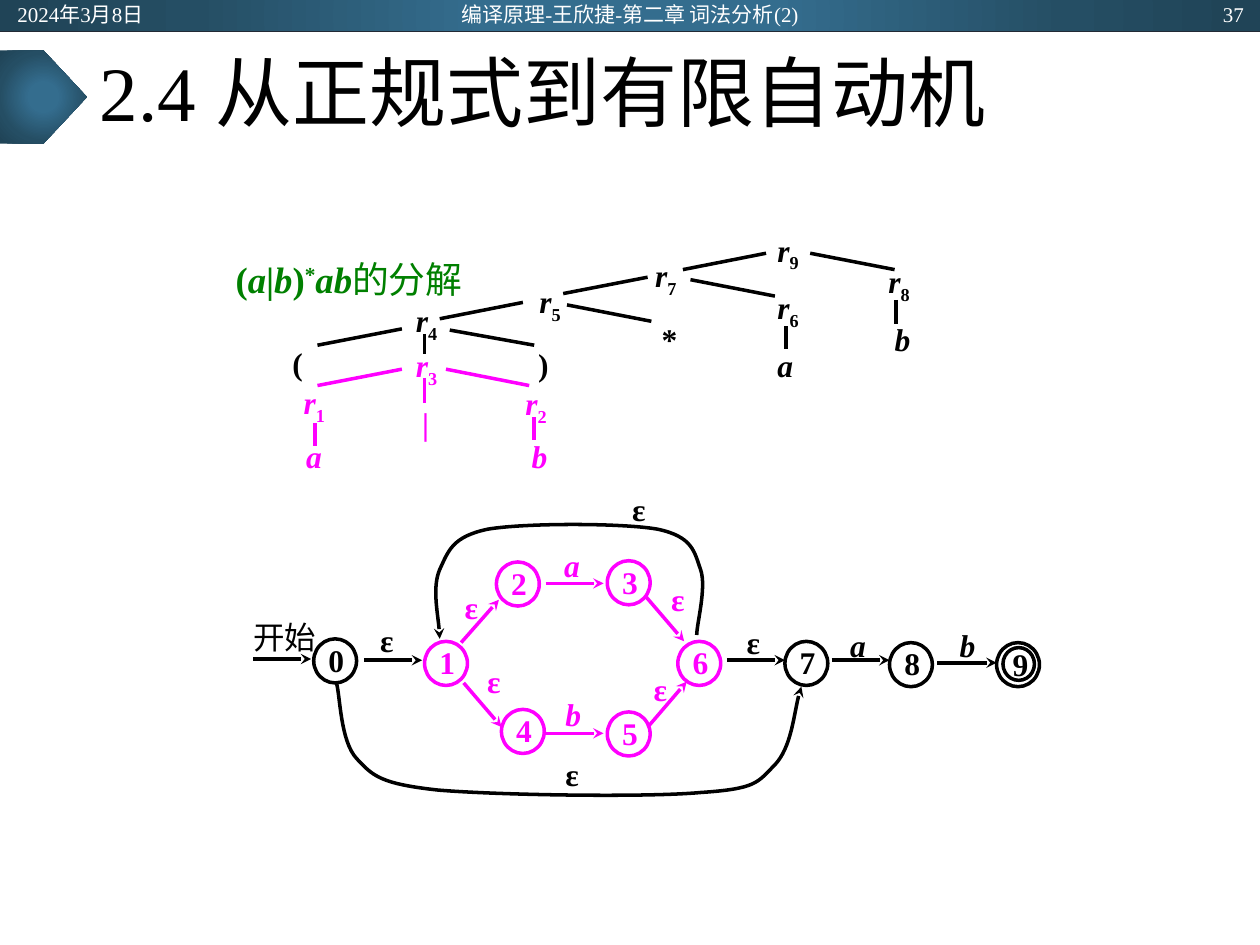
"""Build the slide on turning a regular expression into a finite automaton."""
from dataclasses import dataclass
from typing import NamedTuple

from lxml.etree import SubElement
from pptx import Presentation
from pptx.dml.color import RGBColor
from pptx.enum.shapes import MSO_CONNECTOR, MSO_SHAPE
from pptx.enum.text import MSO_ANCHOR, PP_ALIGN
from pptx.oxml import parse_xml
from pptx.oxml.ns import nsdecls, qn
from pptx.util import Cm, Pt


@dataclass(frozen=True)
class Theme:
    font: str = "Times New Roman"
    ink: str = "000000"
    accent: str = "FF00FF"
    formula: str = "008000"
    header_text: str = "FFFFFF"
    header_rule: str = "222A35"
    gradient: tuple = ((0, "346D8E"), (23, "346D8E"), (69, "254E64"), (97, "204457"))
    title_size: float = 44
    formula_size: float = 21
    body_size: float = 18
    header_size: float = 12
    stroke: float = 2
    rule_stroke: float = 0.5


THEME = Theme()
INK, ACCENT = THEME.ink, THEME.accent


class Span(NamedTuple):
    text: str
    bold: bool = True
    italic: bool = False
    baseline: int = 0


class Label(NamedTuple):
    text: str
    left: float
    top: float
    color: str = INK


class Stroke(NamedTuple):
    start: tuple
    end: tuple
    color: str = INK


class Style(NamedTuple):
    size: float = THEME.body_size
    color: str = INK
    align: PP_ALIGN = PP_ALIGN.CENTER
    anchor: MSO_ANCHOR = MSO_ANCHOR.MIDDLE
    insets: tuple = (0.04, 0.02, 0.04, 0.02)
    wrap: bool = True


STATE_SIZE = (0.34, 0.35)
STATES = [
    Label("0", 2.49, 5.07), Label("1", 3.37, 5.09, ACCENT), Label("2", 3.94, 4.46, ACCENT),
    Label("3", 4.82, 4.45, ACCENT), Label("4", 3.98, 5.63, ACCENT), Label("5", 4.82, 5.65, ACCENT),
    Label("6", 5.38, 5.09, ACCENT), Label("7", 6.23, 5.09), Label("8", 7.06, 5.1), Label("", 7.91, 5.1),
]
ARROWS = [
    Stroke((2.01, 5.23), (2.47, 5.23)), Stroke((2.89, 5.24), (3.35, 5.24)),
    Stroke((5.77, 5.24), (6.23, 5.24)), Stroke((6.6, 5.24), (7.06, 5.24)),
    Stroke((7.44, 5.26), (7.91, 5.26)),
    Stroke((4.33, 4.63), (4.79, 4.63), ACCENT), Stroke((4.33, 5.82), (4.79, 5.82), ACCENT),
    Stroke((3.66, 5.1), (3.96, 4.76), ACCENT), Stroke((5.13, 4.74), (5.43, 5.09), ACCENT),
    Stroke((5.15, 5.76), (5.45, 5.41), ACCENT), Stroke((3.68, 5.42), (3.98, 5.77), ACCENT),
]
TRANSITIONS = [
    Label("ε", 2.92, 4.93), Label("ε", 3.59, 4.67, ACCENT), Label("ε", 3.77, 5.26, ACCENT),
    Label("ε", 5.23, 4.61, ACCENT), Label("ε", 5.09, 5.32, ACCENT), Label("ε", 4.39, 6),
    Label("ε", 5.83, 4.95), Label("ε", 4.92, 3.89), Label("a", 4.39, 4.34, ACCENT),
    Label("b", 4.4, 5.52, ACCENT), Label("a", 6.66, 4.97), Label("b", 7.53, 4.97),
]
SKIP_CURVE = [
    (2.67, 5.42), (2.7, 5.52), (2.7, 5.88), (2.83, 6.02), (2.96, 6.16), (3.02, 6.22),
    (3.47, 6.27), (3.93, 6.31), (5.12, 6.33), (5.56, 6.29), (6.01, 6.26), (6.01, 6.21),
    (6.15, 6.07), (6.28, 5.93), (6.31, 5.58), (6.36, 5.45),
]
REPEAT_CURVE = [
    (5.53, 5.04), (5.53, 4.95), (5.61, 4.66), (5.56, 4.52), (5.51, 4.38), (5.5, 4.26),
    (5.22, 4.2), (4.94, 4.15), (4.16, 4.15), (3.87, 4.2), (3.59, 4.26), (3.56, 4.37),
    (3.49, 4.52), (3.43, 4.66), (3.49, 4.95), (3.49, 5.07),
]
TREE_NODES = [
    Label("r9", 6.13, 1.82), Label("r7", 5.16, 2.02), Label("r8", 7.01, 2.07), Label("r4", 3.26, 2.38),
    Label("r3", 3.26, 2.74, ACCENT), Label("r5", 4.24, 2.23), Label("r6", 6.13, 2.28),
    Label("*", 5.21, 2.53), Label(")", 4.23, 2.73), Label("(", 2.28, 2.72),
    Label("r2", 4.13, 3.04, ACCENT), Label("r1", 2.37, 3.03, ACCENT), Label("a", 2.39, 3.46, ACCENT),
    Label("|", 3.31, 3.2, ACCENT), Label("b", 4.18, 3.46, ACCENT), Label("a", 6.13, 2.74),
    Label("b", 7.06, 2.53),
]
BRANCHES = [
    Stroke((6.43, 2.01), (7.1, 2.14)), Stroke((6.08, 2.01), (5.42, 2.14)),
    Stroke((5.48, 2.22), (6.15, 2.35)), Stroke((5.14, 2.2), (4.47, 2.33)),
    Stroke((4.5, 2.42), (5.17, 2.55)), Stroke((4.15, 2.4), (3.49, 2.53)),
    Stroke((3.57, 2.62), (4.24, 2.74)), Stroke((3.19, 2.61), (2.52, 2.74)),
    Stroke((3.54, 2.93), (4.2, 3.06), ACCENT), Stroke((3.19, 2.93), (2.52, 3.06), ACCENT),
    Stroke((3.37, 2.65), (3.37, 2.81)), Stroke((7.11, 2.38), (7.11, 2.57)),
    Stroke((6.24, 2.59), (6.24, 2.77)), Stroke((3.37, 3), (3.37, 3.2), ACCENT),
    Stroke((4.24, 3.31), (4.24, 3.49), ACCENT), Stroke((2.5, 3.36), (2.5, 3.54), ACCENT),
]
FORMULA = [
    Span("("), Span("a", italic=True), Span("|"), Span("b", italic=True), Span(")"),
    Span("*", baseline=30), Span("ab", italic=True), Span("的分解", bold=False),
]
HEADER = [
    ("2024年3月8日", 0.04, 2.25, PP_ALIGN.LEFT),
    ("编译原理-王欣捷-第二章 词法分析(2)", 3.31, 3.38, PP_ALIGN.CENTER),
    ("37", 7.72, 2.25, PP_ALIGN.RIGHT),
]


def lengths(*inches: float) -> list:
    """Turn inch measures into lengths."""
    return [Cm(value * 2.54) for value in inches]


def set_format(target, values: dict) -> None:
    """Set each named attribute on the target."""
    for name, value in values.items():
        setattr(target, name, value)


def symbol_spans(text: str) -> list:
    """Set variables in italics and their digits as subscripts."""
    return [Span(sign, True, sign in "abr", -25 if sign.isdigit() else 0) for sign in text]


def write(box, spans: list, style: Style) -> None:
    """Write one formatted paragraph into a shape."""
    frame = box.text_frame
    sides = ("margin_left", "margin_top", "margin_right", "margin_bottom")
    set_format(frame, dict(zip(sides, lengths(*style.insets))))
    set_format(frame, {"word_wrap": style.wrap, "vertical_anchor": style.anchor})
    para = frame.paragraphs[0]
    para.alignment = style.align
    for part in spans:
        span = para.add_run()
        span.text = part.text
        set_format(span.font, {"name": THEME.font, "size": Pt(style.size),
                               "bold": part.bold, "italic": part.italic})
        span.font.color.rgb = RGBColor.from_string(style.color)
        if part.baseline:
            span.font._element.set("baseline", str(part.baseline * 1000))


def add_text(page, spans: list, place: tuple, style: Style) -> None:
    """Add a text box."""
    write(page.shapes.add_textbox(*lengths(*place)), spans, style)


def set_line(shape, color: str, width: float, arrow: bool = False) -> None:
    """Colour an outline and give it an arrowhead if asked."""
    shape.line.color.rgb = RGBColor.from_string(color)
    shape.line.width = Pt(width)
    if arrow:
        SubElement(shape.line._get_or_add_ln(), qn("a:tailEnd"), type="stealth")


def add_stroke(page, stroke: Stroke, width: float = THEME.stroke, arrow: bool = False) -> None:
    """Add a straight line or arrow."""
    line = page.shapes.add_connector(MSO_CONNECTOR.STRAIGHT, *lengths(*stroke.start, *stroke.end))
    set_line(line, stroke.color, width, arrow)
    SubElement(line._element.spPr, qn("a:effectLst"))


def add_curve(page, points: list) -> None:
    """Add a curved arrow through groups of three Bézier points."""
    start, *rest = [tuple(lengths(*point)) for point in points]
    builder = page.shapes.build_freeform(*start)
    builder.add_line_segments(rest, close=False)
    curve = builder.convert_to_shape()
    curve.shadow.inherit = False
    curve.fill.background()
    set_line(curve, INK, THEME.stroke, arrow=True)
    outline = curve._element.spPr.find(".//" + qn("a:path"))
    segments = outline.findall(qn("a:lnTo"))
    for first in range(0, len(segments), 3):
        bezier = SubElement(outline, qn("a:cubicBezTo"))
        for segment in segments[first:first + 3]:
            bezier.append(segment[0])
            outline.remove(segment)


def add_state(page, state: Label, size: tuple = STATE_SIZE, insets: tuple = (0.04, 0.02, 0.02, 0.04)) -> None:
    """Add an automaton state."""
    circle = page.shapes.add_shape(MSO_SHAPE.OVAL, *lengths(state.left, state.top, *size))
    circle.shadow.inherit = False
    circle.fill.background()
    set_line(circle, state.color, THEME.stroke)
    if state.text:
        write(circle, [Span(state.text)], Style(color=state.color, insets=insets, wrap=False))


def add_glow(page, kind: MSO_SHAPE, place: tuple) -> None:
    """Add a borderless shape with a radial gradient."""
    shape = page.shapes.add_shape(kind, *lengths(*place))
    shape.shadow.inherit = False
    shape.line.fill.background()
    shape.fill.background()
    stops = "".join(f'<a:gs pos="{at * 1000}"><a:srgbClr val="{color}"/></a:gs>' for at, color in THEME.gradient)
    gradient = parse_xml(f'<a:gradFill {nsdecls("a")}><a:gsLst>{stops}</a:gsLst><a:path path="circle">'
                         '<a:fillToRect l="50000" t="50000" r="50000" b="50000"/></a:path></a:gradFill>')
    properties = shape._element.spPr
    properties.replace(properties.find(qn("a:noFill")), gradient)


def add_frame(page) -> None:
    """Add the header band, the pentagon and the title."""
    add_glow(page, MSO_SHAPE.RECTANGLE, (0, 0, 10, 0.25))
    add_stroke(page, Stroke((0, 0.25), (10, 0.25), THEME.header_rule), THEME.rule_stroke)
    add_glow(page, MSO_SHAPE.PENTAGON, (0, 0.4, 0.69, 0.74))
    insets = (0.1, 0.05, 0.1, 0.05)
    title = page.shapes.title
    set_format(title, dict(zip(("left", "top", "width", "height"), lengths(0.69, 0.25, 8.62, 1.04))))
    write(title, [Span("2.4 从正规式到有限自动机", False)],
          Style(THEME.title_size, align=PP_ALIGN.LEFT, insets=insets))
    title.text_frame.paragraphs[0].line_spacing = 0.9
    for text, left, width, align in HEADER:
        add_text(page, [Span(text, False)], (left, 0.01, width, 0.2),
                 Style(THEME.header_size, THEME.header_text, align, insets=insets))


def add_automaton(page) -> None:
    """Add the states, arrows and labels of the automaton."""
    for state in STATES:
        add_state(page, state)
    add_state(page, Label("9", 7.96, 5.14), (0.25, 0.26), (0.04, 0, 0.01, 0))
    for arrow in ARROWS:
        add_stroke(page, arrow, arrow=True)
    for curve in (SKIP_CURVE, REPEAT_CURVE):
        add_curve(page, curve)
    for label in TRANSITIONS:
        add_text(page, symbol_spans(label.text), (label.left, label.top, 0.3, 0.29), Style(color=label.color))
    add_text(page, [Span("开始", False)], (1.83, 4.89, 0.86, 0.33), Style())


def add_tree(page) -> None:
    """Add the decomposition tree and its formula."""
    for branch in BRANCHES:
        add_stroke(page, branch)
    for node in TREE_NODES:
        add_text(page, symbol_spans(node.text), (node.left, node.top, 0.38, 0.23),
                 Style(color=node.color, align=PP_ALIGN.JUSTIFY, anchor=MSO_ANCHOR.TOP,
                       insets=(0.04, 0.01, 0.04, 0.01)))
    add_text(page, FORMULA, (1.69, 2.02, 2.17, 0.41),
             Style(THEME.formula_size, THEME.formula, anchor=MSO_ANCHOR.TOP, insets=(0.06, 0.02, 0.07, 0.04)))


def main() -> None:
    """Build and save the deck."""
    deck = Presentation()
    deck.slide_width, deck.slide_height = lengths(10, 7.5)
    page = deck.slides.add_slide(deck.slide_layouts[5])
    add_frame(page)
    add_automaton(page)
    add_tree(page)
    deck.save("out.pptx")


if __name__ == "__main__":
    main()
